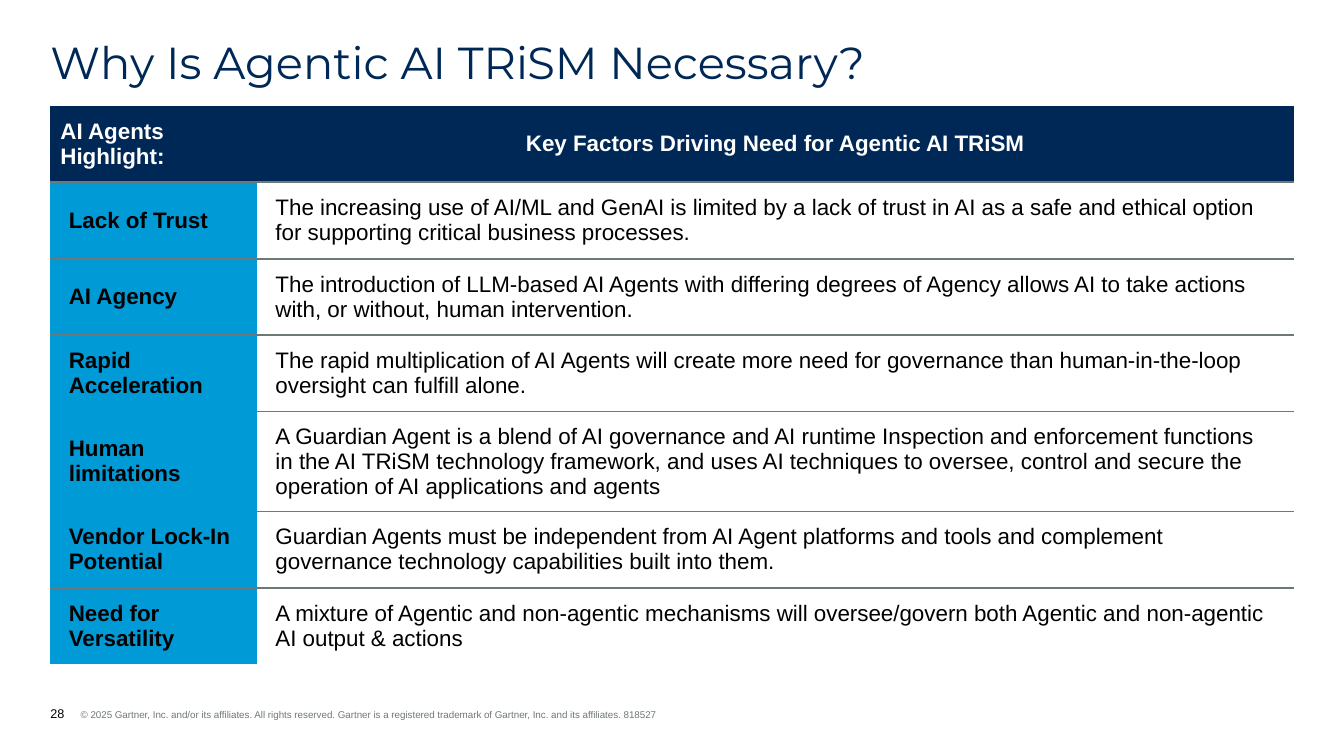
from dataclasses import dataclass

from lxml import etree
from pptx import Presentation
from pptx import util as u
from pptx.dml.color import RGBColor
from pptx.enum import text
from pptx.oxml import ns

NAVY, BLUE, GREY = "002856", "009AD7", "6F7878"
BLACK, WHITE = "000000", "FFFFFF"

# The slide is a grid of 160 columns by 90 rows; lengths below count its cells.
prs = Presentation()
prs.slide_width, prs.slide_height = u.Inches(13.333), u.Inches(7.5)
COL, ROW = prs.slide_width / 160, prs.slide_height / 90
LEFT, WIDTH = 6, 148
LABEL_WIDTH = 24.6
LINE_HEIGHT, BASE_HEIGHT = 2.8, 3.5


@dataclass
class Style:
    size: float
    color: str
    bold: bool = False
    font: str = "Arial"


@dataclass
class Factor:
    label: str
    reason: str
    lines: int = 2


FACTORS = [
    Factor("Lack of Trust",
           "The increasing use of AI/ML and GenAI is limited by a lack of trust in AI "
           "as a safe and ethical option for supporting critical business processes."),
    Factor("AI Agency",
           "The introduction of LLM-based AI Agents with differing degrees of Agency "
           "allows AI to take actions with, or without, human intervention."),
    Factor("Rapid Acceleration",
           "The rapid multiplication of AI Agents will create more need for governance "
           "than human-in-the-loop oversight can fulfill alone."),
    Factor("Human limitations",
           "A Guardian Agent is a blend of AI governance and AI runtime Inspection and "
           "enforcement functions in the AI TRiSM technology framework, and uses AI "
           "techniques to oversee, control and secure the operation of AI applications "
           "and agents", lines=3),
    Factor("Vendor Lock-In Potential",
           "Guardian Agents must be independent from AI Agent platforms and tools and "
           "complement governance technology capabilities built into them."),
    Factor("Need for Versatility",
           "A mixture of Agentic and non-agentic mechanisms will oversee/govern both "
           "Agentic and non-agentic AI output & actions"),
]


def cols(n: float) -> int:
    return u.Emu(round(n * COL))


def rows(n: float) -> int:
    return u.Emu(round(n * ROW))


def rgb(color: str) -> RGBColor:
    return RGBColor.from_string(color)


def add_run(p, words: str, style: Style) -> None:
    r = p.add_run()
    r.text = words
    r.font.size, r.font.bold, r.font.name = u.Pt(style.size), style.bold, style.font
    r.font.color.rgb = rgb(style.color)


def add_box(slide, top: float, width: float, height: float, anchor):
    """Add an unpadded text box at the left margin and return its paragraph."""
    tf = slide.shapes.add_textbox(cols(LEFT), rows(top), cols(width), rows(height)).text_frame
    tf.margin_left = tf.margin_right = tf.margin_top = tf.margin_bottom = 0
    tf.word_wrap, tf.vertical_anchor = True, anchor
    return tf.paragraphs[0]


def set_borders(cell, visible: str) -> None:
    """Rule the sides named in visible (from L, R, T, B) and clear the others."""
    tc_pr = cell._tc.get_or_add_tcPr()
    for side in "LRTB":
        ln = etree.SubElement(tc_pr, ns.qn(f"a:ln{side}"), w=str(u.Pt(1.5)))
        if side in visible:
            fill = etree.SubElement(ln, ns.qn("a:solidFill"))
            etree.SubElement(fill, ns.qn("a:srgbClr"), val=GREY)
        else:
            etree.SubElement(ln, ns.qn("a:noFill"))


def fill_cell(cell, words: str, style: Style, fill: str, borders: str,
              padding: float = 2.2, align=text.PP_ALIGN.LEFT) -> None:
    set_borders(cell, borders)
    cell.fill.solid()
    cell.fill.fore_color.rgb = rgb(fill)
    cell.vertical_anchor = text.MSO_ANCHOR.MIDDLE
    cell.margin_left = cell.margin_right = cols(padding)
    cell.margin_top = cell.margin_bottom = rows(0.7)
    p = cell.text_frame.paragraphs[0]
    p.alignment = align
    add_run(p, words, style)


def add_factor_table(slide) -> None:
    heights = [BASE_HEIGHT + LINE_HEIGHT * n for n in [2] + [f.lines for f in FACTORS]]
    table = slide.shapes.add_table(len(heights), 2, cols(LEFT), rows(12.6),
                                   cols(WIDTH), rows(sum(heights))).table
    table.first_row = table.horz_banding = False
    for column, width in zip(table.columns, (LABEL_WIDTH, WIDTH - LABEL_WIDTH)):
        column.width = cols(width)
    for row, height in zip(table.rows, heights):
        row.height = rows(height)

    header = Style(16, WHITE, bold=True)
    fill_cell(table.cell(0, 0), "AI Agents Highlight:", header, NAVY, "B", padding=1.2)
    fill_cell(table.cell(0, 1), "Key Factors Driving Need for Agentic AI TRiSM", header,
              NAVY, "B", align=text.PP_ALIGN.CENTER)
    for i, factor in enumerate(FACTORS, start=1):
        borders = "T" if i == len(FACTORS) else "TB"
        fill_cell(table.cell(i, 0), factor.label, Style(16, BLACK, bold=True), BLUE, borders)
        fill_cell(table.cell(i, 1), factor.reason, Style(16, BLACK), WHITE, borders)


def add_footer(slide) -> None:
    p = add_box(slide, 84.1, 94.2, 1.8, text.MSO_ANCHOR.BOTTOM)
    p_pr = p._p.get_or_add_pPr()
    p_pr.set("marL", str(cols(3.6)))
    p_pr.set("indent", str(-cols(3.6)))
    add_run(p, "28", Style(9, BLACK))
    add_run(p, "\t© 2025 Gartner, Inc. and/or its affiliates. All rights reserved. "
               "Gartner is a registered trademark of Gartner, Inc. and its affiliates. "
               "818527", Style(7, GREY))


def main() -> None:
    slide = prs.slides.add_slide(prs.slide_layouts[6])
    add_footer(slide)
    title = add_box(slide, 4.8, WIDTH, 5.9, text.MSO_ANCHOR.TOP)
    title.line_spacing = 0.9
    add_run(title, "Why Is Agentic AI TRiSM Necessary?", Style(32, NAVY, font="Montserrat"))
    add_factor_table(slide)
    prs.save("out.pptx")


if __name__ == "__main__":
    main()
